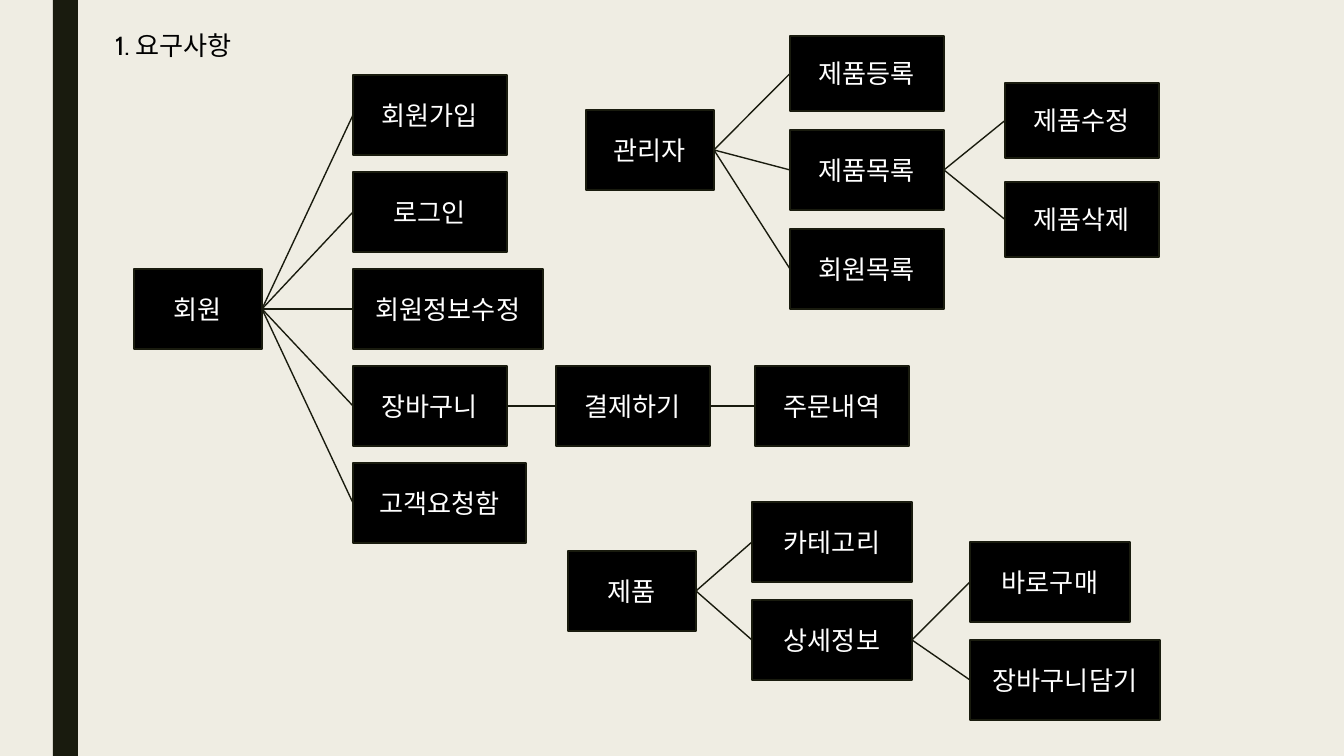
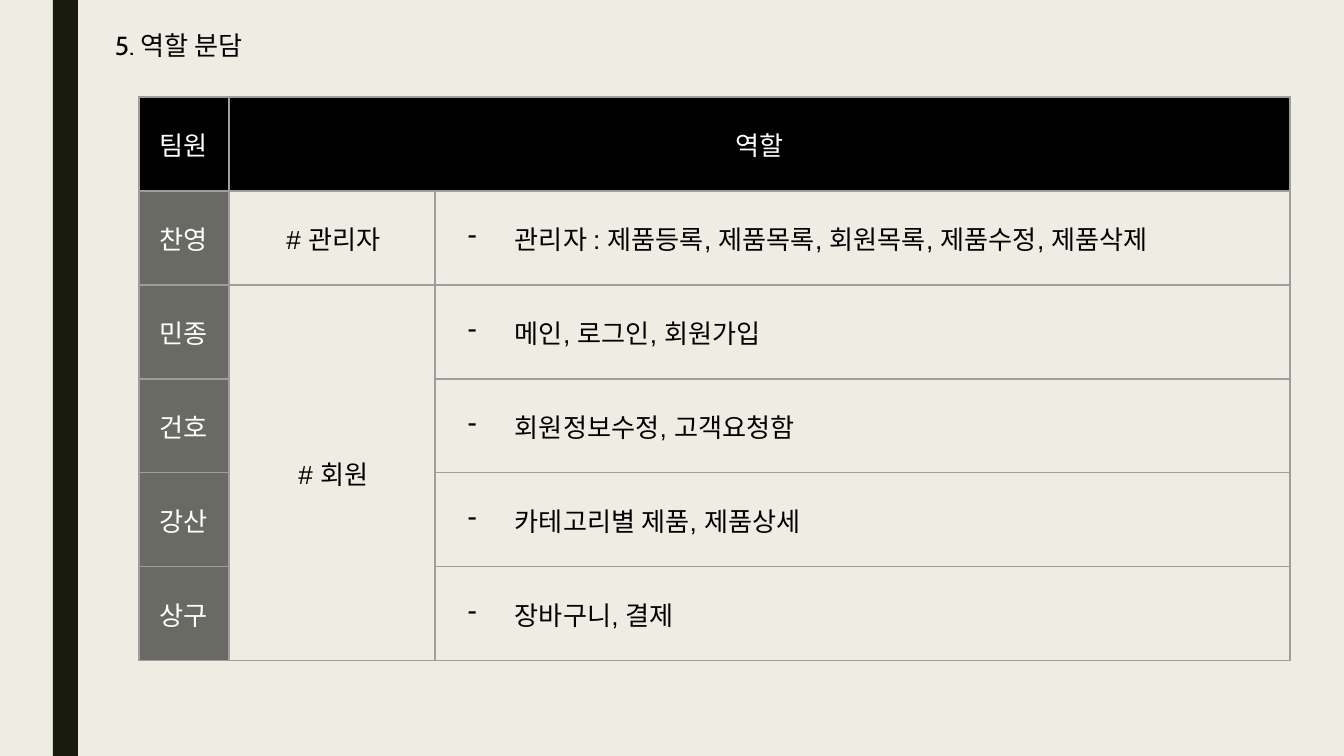
from dataclasses import dataclass

from lxml import etree
from pptx import Presentation
from pptx.dml import color as colors
from pptx.enum import shapes, text
from pptx.oxml import ns
from pptx import util as u

EMU_PER_PX = 914400 / 134.4


def px(length):
    """Turn whole pixels into EMU."""
    return u.Emu(round(length * EMU_PER_PX))


@dataclass(frozen=True)
class Theme:
    """Colours, fonts and sizes shared by the slides."""
    paper: str = "EFEDE3"
    band: str = "191B0E"
    ink: str = "000000"
    light: str = "FFFFFF"
    member: str = "696A64"
    border: str = "9E9E9E"
    title_font: str = "Cabin"
    body_font: str = "Arial"
    size: float = 14
    line: float = 0.75
    inset: int = 13


@dataclass(frozen=True)
class Node:
    """A labelled box in a tree, placed relative to the tree."""
    label: str
    left: int
    top: int
    width: int
    height: int = 80
    children: tuple = ()


THEME = Theme()
SLIDE = (1344, 756)
BAND = (53, 0, 25, 756)
INSETS = {f"margin_{side}": px(THEME.inset) for side in ("left", "right", "top", "bottom")}
CENTERED = {"alignment": text.PP_ALIGN.CENTER}
MIDDLE = {"vertical_anchor": text.MSO_ANCHOR.MIDDLE}

MEMBER_TASKS = (
    ("회원가입", 154, ()),
    ("로그인", 154, ()),
    ("회원정보수정", 190, ()),
    ("장바구니", 154, (
        Node("결제하기", 422, 291, 154, children=(Node("주문내역", 621, 291, 154),)),
    )),
    ("고객요청함", 173, ()),
)
MEMBER_TREE = Node("회원", 0, 194, 128, children=tuple(
    Node(label, 219, index * 97, width, children=children)
    for index, (label, width, children) in enumerate(MEMBER_TASKS)
))
ADMIN_TREE = Node("관리자", 0, 74, 128, children=(
    Node("제품등록", 204, 0, 154, 75),
    Node("제품목록", 204, 94, 154, children=(
        Node("제품수정", 419, 47, 154, 75),
        Node("제품삭제", 419, 146, 154, 75),
    )),
    Node("회원목록", 204, 193, 154),
))
PRODUCT_TREE = Node("제품", 0, 49, 128, children=(
    Node("카테고리", 184, 0, 160),
    Node("상세정보", 184, 98, 160, children=(
        Node("바로구매", 402, 40, 160),
        Node("장바구니담기", 402, 138, 190),
    )),
))
TREES = ((MEMBER_TREE, (134, 75)), (ADMIN_TREE, (586, 36)), (PRODUCT_TREE, (568, 502)))

ROLES = (
    ("팀원", "역할", ""),
    ("찬영", "# 관리자", "관리자 : 제품등록, 제품목록, 회원목록, 제품수정, 제품삭제"),
    ("민종", "# 회원", "메인, 로그인, 회원가입"),
    ("건호", "", "회원정보수정, 고객요청함"),
    ("강산", "", "카테고리별 제품, 제품상세"),
    ("상구", "", "장바구니, 결제"),
)
ROLE_COLUMNS = (90, 206, 855)
ROLE_ROW = 94


def assign(target, *formats):
    """Set every attribute named in the format dicts."""
    for values in formats:
        for name, value in values.items():
            setattr(target, name, value)


def rgb(value):
    """Return a colour from its hex digits."""
    return colors.RGBColor.from_string(value)


def child(parent, tag, **attributes):
    """Append a drawing element to its parent."""
    return etree.SubElement(parent, ns.qn(f"a:{tag}"), attributes)


def paint(target, color):
    """Fill a shape or cell with a solid colour."""
    target.fill.solid()
    target.fill.fore_color.rgb = rgb(color)


def outline(line):
    """Give a line the shared colour and width."""
    line.color.rgb = rgb(THEME.band)
    line.width = u.Pt(THEME.line)


def write(frame, words, color, font=THEME.body_font, **layout):
    """Write one styled run in the first paragraph and return the paragraph."""
    paragraph = frame.paragraphs[0]
    assign(paragraph, layout)
    run = paragraph.add_run()
    run.text = words
    assign(run.font, {"name": font, "size": u.Pt(THEME.size)})
    run.font.color.rgb = rgb(color)
    return paragraph


def add_box(slide, box, color):
    """Add a plain filled rectangle."""
    shape = slide.shapes.add_shape(shapes.MSO_SHAPE.RECTANGLE, *map(px, box))
    shape.shadow.inherit = False
    paint(shape, color)
    return shape


def add_page(presentation, title, title_width):
    """Add a slide with its side band and title."""
    slide = presentation.slides.add_slide(presentation.slide_layouts[6])
    add_box(slide, BAND, THEME.band).line.fill.background()
    frame = slide.shapes.add_textbox(*map(px, (102, 16, title_width, 43))).text_frame
    assign(frame, INSETS, {"word_wrap": True})
    write(frame, title, THEME.ink, THEME.title_font)
    return slide


def add_tree(slide, node, origin):
    """Draw a node and its branches from the tree's top left corner."""
    left, top = origin
    shape = add_box(slide, (left + node.left, top + node.top, node.width, node.height), THEME.ink)
    outline(shape.line)
    assign(shape.text_frame, INSETS, MIDDLE, {"word_wrap": True})
    write(shape.text_frame, node.label, THEME.light, **CENTERED)
    for branch in node.children:
        connect(slide, shape, add_tree(slide, branch, origin))
    return shape


def connect(slide, parent, branch):
    """Join the right side of a parent to the left side of its branch."""
    connector = slide.shapes.add_connector(shapes.MSO_CONNECTOR.STRAIGHT, 0, 0, 0, 0)
    connector.begin_connect(parent, 3)
    connector.end_connect(branch, 1)
    outline(connector.line)
    child(connector._element.spPr, "effectLst")


def add_borders(cell):
    """Draw the four borders of a cell."""
    properties = cell._tc.get_or_add_tcPr()
    for index, side in enumerate("LRTB"):
        line = child(properties, f"ln{side}", w=str(u.Pt(THEME.line)))
        child(child(line, "solidFill"), "srgbClr", val=THEME.border)
        properties.insert(index, line)


def indent(paragraph, left, first=0):
    """Set a paragraph's left margin and first line indent."""
    properties = paragraph._p.get_or_add_pPr()
    properties.set("marL", str(px(left)))
    properties.set("indent", str(px(first)))
    return properties


def write_role(cell, words, row, column):
    """Fill one cell of the role table by its row and column."""
    assign(cell, INSETS, MIDDLE)
    if row == 0 or column == 0:
        paint(cell, THEME.ink if row == 0 else THEME.member)
    else:
        cell.fill.background()
    add_borders(cell)
    if not words:
        return
    frame = cell.text_frame
    if row == 0 or column == 0:
        write(frame, words, THEME.light, **CENTERED)
    elif column == 1:
        indent(write(frame, words, THEME.ink, **CENTERED), 3)
    else:
        properties = indent(frame.paragraphs[0], 67, -47)
        child(child(properties, "buClr"), "srgbClr", val=THEME.ink)
        child(properties, "buChar", char="-")
        write(frame, words, THEME.ink)


def add_role_table(slide, left, top):
    """Add the table of team members and their roles."""
    size = (sum(ROLE_COLUMNS), ROLE_ROW * len(ROLES))
    table = slide.shapes.add_table(
        len(ROLES), len(ROLE_COLUMNS), *map(px, (left, top, *size))).table
    assign(table, {"first_row": False, "horz_banding": False})
    for column, width in zip(table.columns, ROLE_COLUMNS):
        column.width = px(width)
    for row in table.rows:
        row.height = px(ROLE_ROW)
    table.cell(0, 1).merge(table.cell(0, 2))
    table.cell(2, 1).merge(table.cell(5, 1))
    for row, entries in enumerate(ROLES):
        for column, words in enumerate(entries):
            write_role(table.cell(row, column), words, row, column)


def build_requirements(presentation):
    """Build the slide of requirement trees."""
    slide = add_page(presentation, "1. 요구사항", 228)
    for tree, origin in TREES:
        add_tree(slide, tree, origin)


def build_roles(presentation):
    """Build the slide of team roles."""
    slide = add_page(presentation, "5. 역할 분담", 325)
    add_role_table(slide, 139, 97)


def main():
    """Build and save the presentation."""
    presentation = Presentation()
    assign(presentation, dict(zip(("slide_width", "slide_height"), map(px, SLIDE))))
    paint(presentation.slide_master.background, THEME.paper)
    build_requirements(presentation)
    build_roles(presentation)
    presentation.save("out.pptx")


if __name__ == "__main__":
    main()
